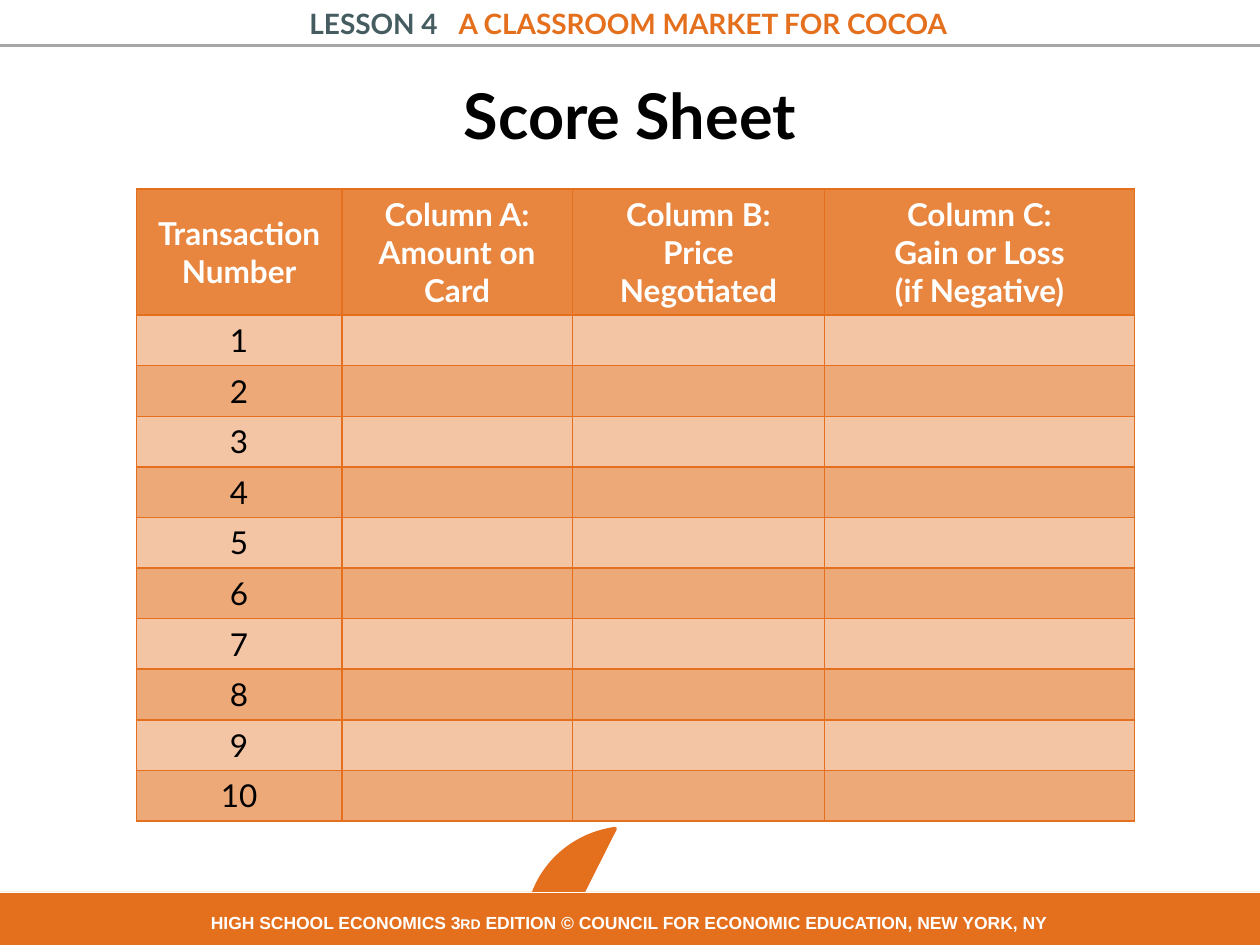
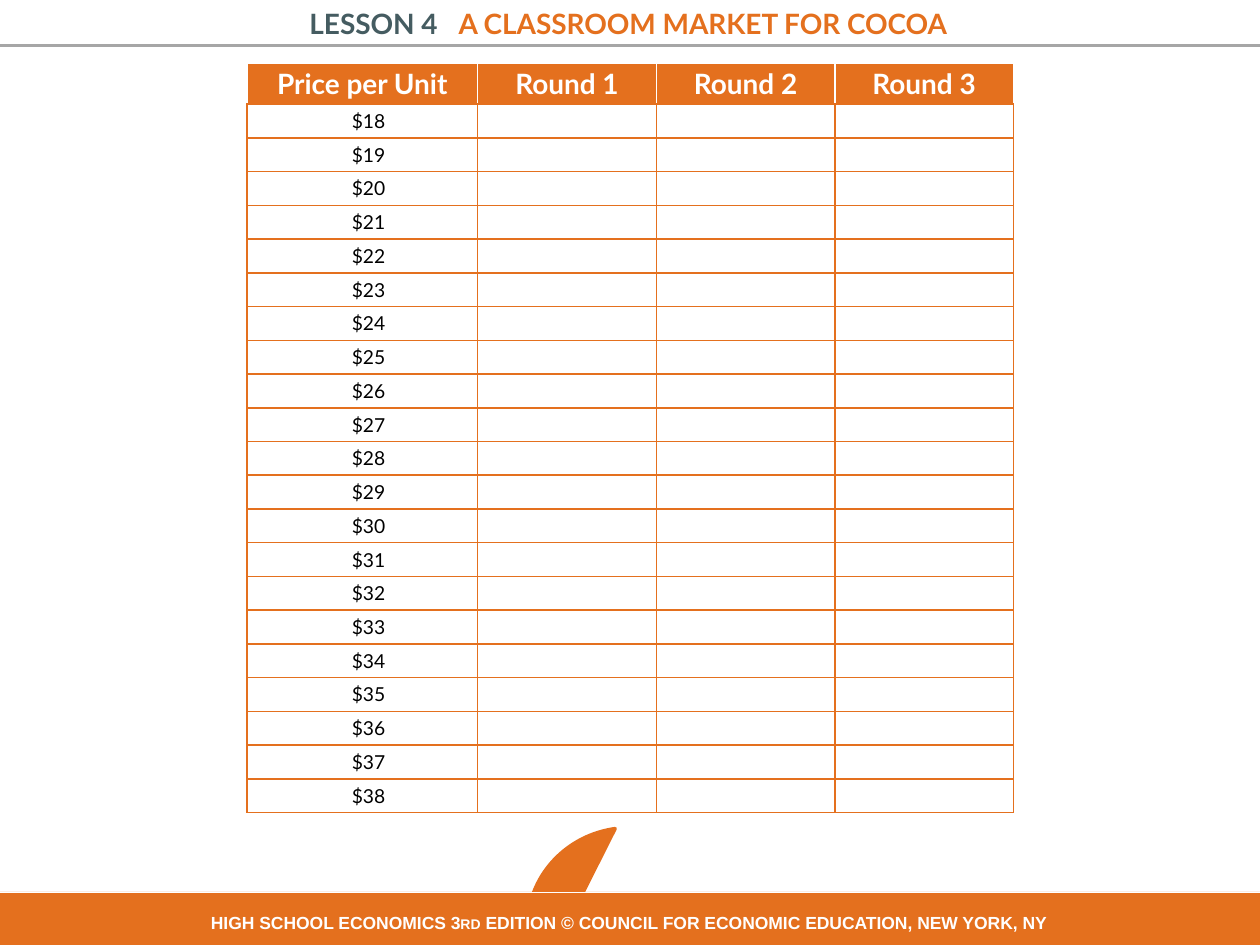
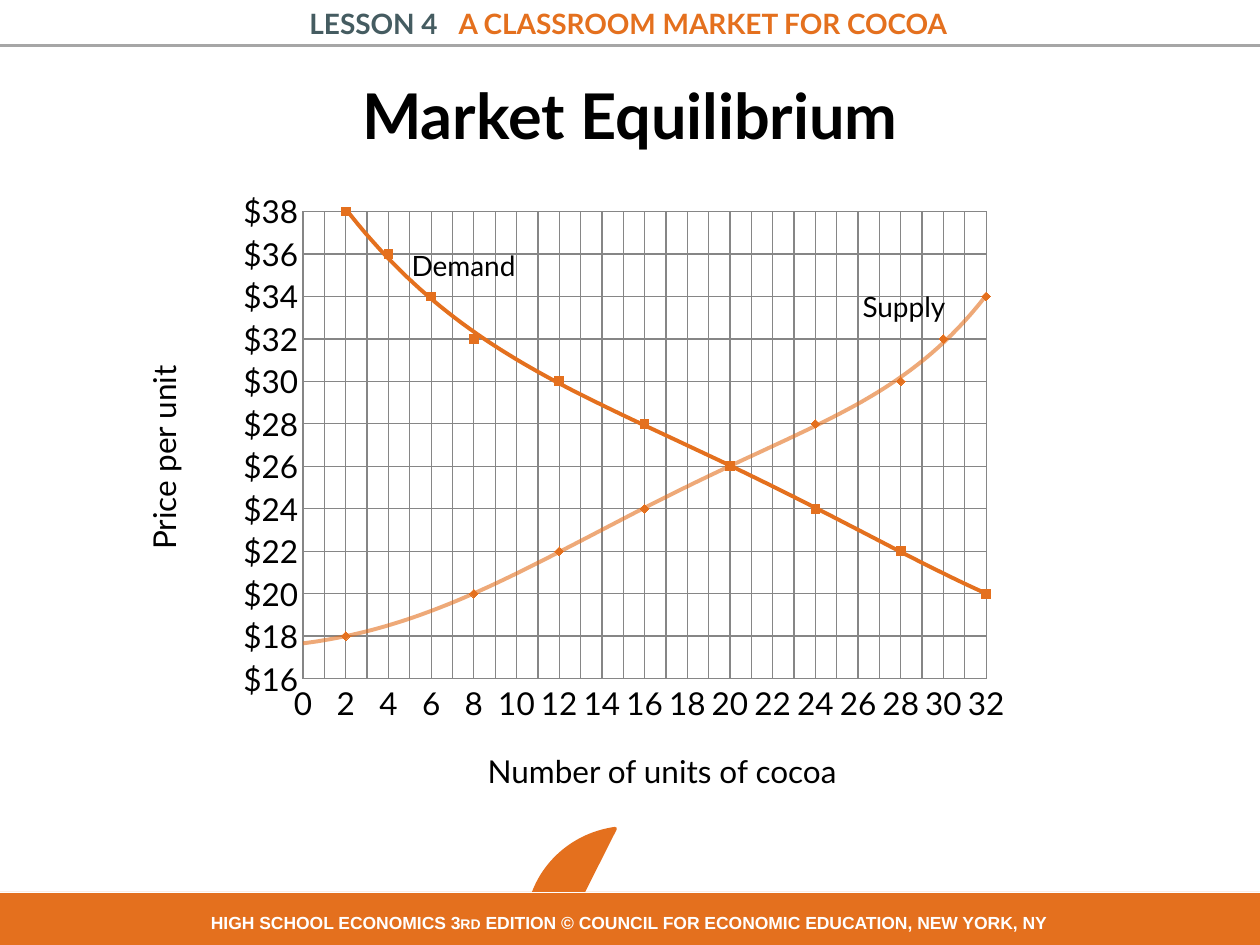
from lxml import etree
from pptx import Presentation
from pptx.chart.data import CategoryChartData
from pptx.dml.color import RGBColor
from pptx.enum.chart import XL_CHART_TYPE, XL_MARKER_STYLE, XL_TICK_MARK
from pptx.enum.shapes import MSO_CONNECTOR, MSO_SHAPE
from pptx.enum.text import MSO_ANCHOR, PP_ALIGN
from pptx.oxml import parse_xml
from pptx.oxml.ns import nsdecls, qn
from pptx.util import Cm, Pt

CENTER, LEFT = PP_ALIGN.CENTER, PP_ALIGN.LEFT
MIDDLE, TOP = MSO_ANCHOR.MIDDLE, MSO_ANCHOR.TOP
LINE_CHART = XL_CHART_TYPE.LINE_MARKERS
SQUARE, DIAMOND = XL_MARKER_STYLE.SQUARE, XL_MARKER_STYLE.DIAMOND
NO_TICK = XL_TICK_MARK.NONE
STRAIGHT = MSO_CONNECTOR.STRAIGHT
CHORD, RECTANGLE = MSO_SHAPE.CHORD, MSO_SHAPE.RECTANGLE

COLORS = {
    "orange": "E4701E",
    "slate": "455C61",
    "rule": "A6A6A6",
    "grid": "868686",
    "white": "FFFFFF",
    "black": "000000",
}
RGB = {name: RGBColor.from_string(value) for name, value in COLORS.items()}


def write(frame, text, size=18, font="Lato", color="black", bold=False,
          align=CENTER, anchor=TOP):
    """Fill a frame; text is a string or a list of (string, overrides) spans."""
    frame.word_wrap = True
    frame.vertical_anchor = anchor
    spans = [(text, {})] if isinstance(text, str) else text
    para = frame.paragraphs[0]
    para.alignment = align
    for words, changes in spans:
        for index, line in enumerate(words.split("\n")):
            if index:
                para = frame.add_paragraph()
                para.alignment = align
            if not line:
                etree.SubElement(para._p, qn("a:endParaRPr"), sz=str(size * 100))
                continue
            span = para.add_run()
            span.text = line
            span.font.name = font
            span.font.bold = bold
            span.font.size = Pt(changes.get("size", size))
            span.font.color.rgb = RGB[changes.get("color", color)]
            if "spacing" in changes:
                span._r.get_or_add_rPr().set("spc", str(changes["spacing"]))


def add_grid(page, left, top, widths, heights, rows, header_size, body_size,
             header_edge, header_alpha, body_fill, body_alphas, margins=None):
    """Add a table whose body rows cycle through the given opacities."""
    table = page.shapes.add_table(len(rows), len(widths), Cm(left), Cm(top),
                                  Cm(sum(widths)), Cm(sum(heights))).table
    table.first_row = table.horz_banding = False
    for column, width in zip(table.columns, widths):
        column.width = Cm(width)
    for index, (row, height, texts) in enumerate(zip(table.rows, heights, rows)):
        row.height = Cm(height)
        header = index == 0
        alpha = header_alpha if header else body_alphas[(index - 1) % len(body_alphas)]
        for cell, text in zip(row.cells, texts):
            if margins is not None:
                cell.margin_left = Cm(0 if header else margins)
                cell.margin_right = cell.margin_top = cell.margin_bottom = 0
            write(cell.text_frame, text, size=header_size if header else body_size,
                  color="white" if header else "black", bold=header)
            cell.vertical_anchor = MIDDLE
            cell.fill.solid()
            cell.fill.fore_color.rgb = RGB["orange" if header else body_fill]
            props = cell._tc.get_or_add_tcPr()
            fill_color = props.find(qn("a:solidFill")).find(qn("a:srgbClr"))
            etree.SubElement(fill_color, qn("a:alpha"), val=str(alpha * 1000))
            for place, side in enumerate("LRTB"):
                edge = header_edge if header and side != "B" else "orange"
                props.insert(place, parse_xml(
                    f'<a:ln{side} {nsdecls("a")} w="12700"><a:solidFill>'
                    f'<a:srgbClr val="{COLORS[edge]}"/></a:solidFill></a:ln{side}>'))


deck = Presentation()
deck.slide_width, deck.slide_height = Cm(25.4), Cm(19.05)

# Header, footer and title of every page
HEADING = [("LESSON 4", {"color": "slate"}), (" ", {"spacing": 800}),
           ("A CLASSROOM MARKET FOR COCOA", {})]
CREDIT = [("HIGH SCHOOL ECONOMICS 3", {}), ("RD", {"size": 8}),
          (" EDITION © COUNCIL FOR ECONOMIC EDUCATION, NEW YORK, NY", {})]
small_print = {"size": 10, "font": "Arial", "color": "white", "bold": True}
pages = []
for number, title in [("4-2", "Score Sheet"), ("4-3", ""), ("4-4", "Market Equilibrium")]:
    page = deck.slides.add_slide(deck.slide_layouts[6])
    pages.append(page)
    rule = page.shapes.add_connector(STRAIGHT, 0, Cm(0.92), Cm(25.4), Cm(0.92))
    rule.line.color.rgb = RGB["rule"]
    rule.line.width = Pt(2)
    etree.SubElement(rule._element.spPr, qn("a:effectLst"))

    for kind, left, top, width, height, edge, weight in [
            (CHORD, 10.67, 16.64, 4.11, 4.22, "orange", 2),
            (RECTANGLE, -0.1, 17.98, 25.55, 1.07, "white", 0.25)]:
        shape = page.shapes.add_shape(kind, Cm(left), Cm(top), Cm(width), Cm(height))
        shape.shadow.inherit = False
        shape.fill.solid()
        shape.fill.fore_color.rgb = RGB["orange"]
        shape.line.color.rgb = RGB[edge]
        shape.line.width = Pt(weight)
        if kind == CHORD:
            shape.rotation = 112.5
            shape.adjustments[0], shape.adjustments[1] = 23.98, 89.05

    texts = [
        (2.41, 0, 20.52, 0.94, HEADING, {"size": 16, "color": "orange", "bold": True}),
        (11.43, 17.07, 2.54, 0.69, number, small_print),
        (3.25, 18.26, 18.85, 0.69, CREDIT, small_print),
    ]
    if title:
        texts.append((1.27, 1.41, 22.86, 1.78, title,
                      {"size": 36, "bold": True, "anchor": MIDDLE}))
    for left, top, width, height, text, style in texts:
        box = page.shapes.add_textbox(Cm(left), Cm(top), Cm(width), Cm(height))
        write(box.text_frame, text, **style)

score_page, price_page, market_page = pages

# Score sheet
score_rows = [["Transaction Number", "Column A:\nAmount on Card",
               "Column B:\nPrice Negotiated", "Column C:\nGain or Loss\n(if Negative)"]]
score_rows += [[str(number), "", "", ""] for number in range(1, 11)]
add_grid(score_page, 2.75, 3.81, [4.14, 4.65, 5.08, 6.25], [2.54] + [1.02] * 10,
         score_rows, header_size=18, body_size=18, header_edge="orange",
         header_alpha=85, body_fill="orange", body_alphas=[40, 60])

# Price table
price_rows = [["Price per Unit", "Round 1", "Round 2", "Round 3"]]
price_rows += [[f"${price}", "", "", ""] for price in range(18, 39)]
add_grid(price_page, 4.98, 1.28, [4.65] + [3.6] * 3, [0.82] + [0.68] * 21,
         price_rows, header_size=16, body_size=11, header_edge="white",
         header_alpha=100, body_fill="white", body_alphas=[100], margins=0.25)

# Supply and demand chart
units = range(0, 33, 2)
demand = {2: 38, 4: 36, 6: 34, 8: 32, 12: 30, 16: 28, 20: 26, 24: 24, 28: 22, 32: 20}
supply = {2: 18, 8: 20, 12: 22, 16: 24, 20: 26, 24: 28, 28: 30, 30: 32, 32: 34}
data = CategoryChartData()
data.categories = [str(unit) for unit in units]
for name, prices in [("Series 1", demand), ("Series 2", supply)]:
    data.add_series(name, [prices.get(unit) for unit in units])
chart = market_page.shapes.add_chart(LINE_CHART, Cm(4.01), Cm(3.61), Cm(16.94),
                                     Cm(11.28), data).chart
chart.has_legend = chart.has_title = False
chart.font.name, chart.font.size = "Lato", Pt(18)
chart.font.color.rgb = RGB["black"]
chart.plots[0].vary_by_categories = False

unit_axis, price_axis = chart.category_axis, chart.value_axis
for axis in (unit_axis, price_axis):
    axis.has_major_gridlines = True
    axis.major_tick_mark = axis.minor_tick_mark = NO_TICK
    axis.major_gridlines.format.line.color.rgb = RGB["grid"]
    axis.format.line.color.rgb = RGB["grid"]
unit_axis.has_minor_gridlines = True
unit_axis._element.find(qn("c:minorGridlines")).append(parse_xml(
    f'<c:spPr {nsdecls("c", "a")}><a:ln><a:solidFill>'
    f'<a:srgbClr val="{COLORS["grid"]}"/></a:solidFill></a:ln></c:spPr>'))
price_axis.minimum_scale, price_axis.maximum_scale, price_axis.major_unit = 16, 38, 2
price_axis.tick_labels.number_format = '"$"#,##0'
price_axis.tick_labels.number_format_is_linked = False

# Points sit on the grid lines instead of between them
axis_xml = price_axis._element
crossing = axis_xml.find(qn("c:crossBetween"))
if crossing is None:
    crossing = etree.Element(qn("c:crossBetween"))
    axis_xml.find(qn("c:crosses")).addnext(crossing)
crossing.set("val", "midCat")

for series, marker, order, alpha in zip(chart.plots[0].series, (SQUARE, DIAMOND),
                                        (4, 5), (100, 60)):
    series.smooth = False
    series.format.line.fill.background()
    series.marker.style, series.marker.size = marker, 5
    series.marker.format.fill.solid()
    series.marker.format.fill.fore_color.rgb = RGB["orange"]
    series.marker.format.line.color.rgb = RGB["orange"]
    series._element.find(qn("c:cat")).addprevious(parse_xml(
        f'<c:trendline {nsdecls("c", "a")}><c:spPr><a:ln w="28575"><a:solidFill>'
        f'<a:srgbClr val="{COLORS["orange"]}"><a:alpha val="{alpha * 1000}"/></a:srgbClr>'
        f'</a:solidFill></a:ln></c:spPr><c:trendlineType val="poly"/>'
        f'<c:order val="{order}"/><c:dispRSqr val="0"/><c:dispEq val="0"/></c:trendline>'))

plot_area = chart._chartSpace.find(".//" + qn("c:plotArea"))
for layout in plot_area.findall(qn("c:layout")):
    plot_area.remove(layout)
plot_area.insert(0, parse_xml(
    f'<c:layout {nsdecls("c")}><c:manualLayout><c:layoutTarget val="inner"/>'
    '<c:xMode val="edge"/><c:yMode val="edge"/><c:x val="0.124"/><c:y val="0.058"/>'
    '<c:w val="0.813"/><c:h val="0.835"/></c:manualLayout></c:layout>'))

for text, left, top, width, height, size, turn in [
        ("Number of units of cocoa", 9.58, 15.04, 8, 1.02, 18, 0),
        ("Price per unit", 0.91, 8.43, 4.78, 1.02, 18, 270),
        ("Demand", 8.05, 4.88, 2.74, 0.94, 16, 0),
        ("Supply", 17.14, 5.72, 2.54, 0.94, 16, 0)]:
    box = market_page.shapes.add_textbox(Cm(left), Cm(top), Cm(width), Cm(height))
    box.rotation = turn
    write(box.text_frame, text, size=size, align=LEFT)

deck.save("out.pptx")
